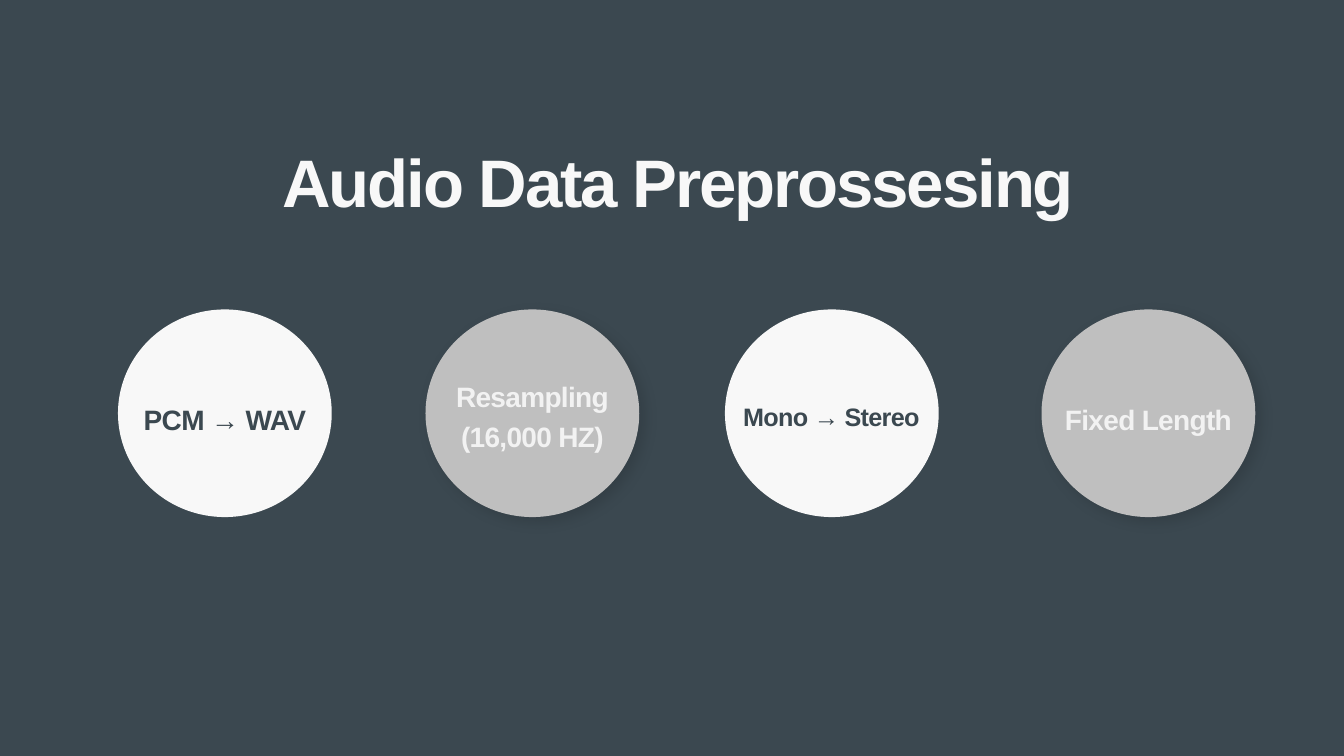
from lxml import etree
from pptx import Presentation
from pptx.dml.color import RGBColor
from pptx.enum import shapes, text
from pptx.oxml import ns
from pptx.util import Inches, Pt

SLATE = RGBColor(0x3B, 0x48, 0x50)
WHITE = RGBColor(0xF8, 0xF8, 0xF8)
GREY = RGBColor(0xBF, 0xBF, 0xBF)
PALE = RGBColor(0xF2, 0xF2, 0xF2)

# Circle left, then label left, top, width, height, size, wrap and lines
STEPS = [
    (1.17, (1.3, 3.93, 1.86, 0.37), 20, True, ["PCM → WAV"]),
    (4.22, (4.52, 3.7, 1.52, 0.77), 20, False, ["Resampling", "(16,000 HZ)"]),
    (7.19, (7.25, 3.92, 1.99, 0.33), 18, True, ["Mono → Stereo"]),
    (10.33, (10.56, 3.93, 1.66, 0.37), 20, False, ["Fixed Length"]),
]


def add_shade(shape):
    """Soft black shadow, falling to the lower right."""
    effects = shape._element.spPr.find(ns.qn("a:effectLst"))
    outer = etree.SubElement(
        effects, ns.qn("a:outerShdw"), blurRad=str(Pt(10)), dist=str(Pt(5)),
        dir=str(45 * 60000), algn="tl", rotWithShape="0")
    color = etree.SubElement(outer, ns.qn("a:srgbClr"), val="000000")
    etree.SubElement(color, ns.qn("a:alpha"), val="13000")


def add_disc(slide, left, fill, shade):
    disc = slide.shapes.add_shape(
        shapes.MSO_SHAPE.OVAL, Inches(left), Inches(3.07), Inches(2.12), Inches(2.06))
    disc.fill.solid()
    disc.fill.fore_color.rgb = fill
    disc.line.fill.background()
    disc.shadow.inherit = False
    if shade:
        add_shade(disc)


def add_label(slide, box, lines, size, color, gap, wrap=False, align=None, lead=None):
    """Bold text without margins; gap is the letter spacing in points."""
    frame = slide.shapes.add_textbox(*map(Inches, box)).text_frame
    frame.margin_left = frame.margin_right = 0
    frame.margin_top = frame.margin_bottom = 0
    frame.word_wrap = wrap
    frame.auto_size = text.MSO_AUTO_SIZE.SHAPE_TO_FIT_TEXT
    for i, line in enumerate(lines):
        para = frame.add_paragraph() if i else frame.paragraphs[0]
        para.alignment = align
        para.line_spacing = lead
        run = para.add_run()
        run.text = line
        run.font.name = "Arial"
        run.font.size = Pt(size)
        run.font.bold = True
        run.font.color.rgb = color
        run._r.get_or_add_rPr().set("spc", str(round(gap * 100)))


def main():
    deck = Presentation()
    deck.slide_width, deck.slide_height = Inches(13.33), Inches(7.5)
    slide = deck.slides.add_slide(deck.slide_layouts[6])
    slide.background.fill.solid()
    slide.background.fill.fore_color.rgb = SLATE

    # Title
    add_label(slide, (2.8, 1.39, 7.92, 0.81), ["Audio Data Preprossesing"], 48, WHITE, -1.5)

    # Steps: white and shaded grey circles in turn
    for i, (left, box, size, wrap, lines) in enumerate(STEPS):
        odd = i % 2 == 1
        add_disc(slide, left, GREY if odd else WHITE, odd)
        add_label(slide, box, lines, size, PALE if odd else SLATE, -0.5,
                  wrap, text.PP_ALIGN.CENTER, 1.2)

    deck.save("out.pptx")


if __name__ == "__main__":
    main()
